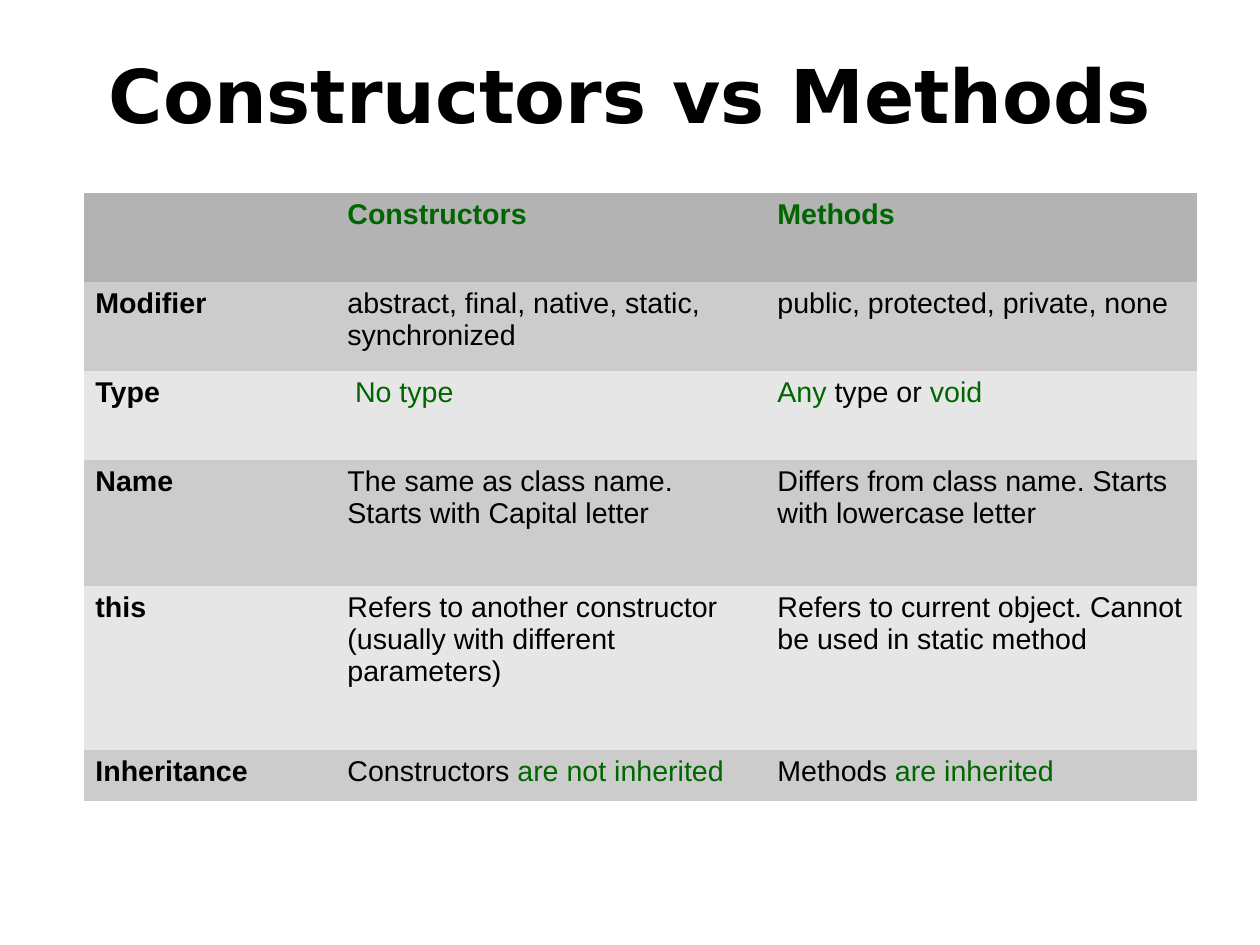
from pptx import Presentation
from pptx import util as u
from pptx.dml.color import RGBColor
from pptx.enum import text

PX = 8000  # EMU in one px; the slide is 1260 by 945 px
COLORS = {
    "black": "000000",
    "green": "006600",
    "header": "B3B3B3",
    "dark row": "CCCCCC",
    "light row": "E6E6E6",
}
NO_STYLE = "{2D5ABB26-0587-4C30-8999-92F81FD0307C}"

# Row height and cell texts; text between bars is green
ROWS = [
    (89, "", "|Constructors|", "|Methods|"),
    (89, "Modifier", "abstract, final, native, static, synchronized",
     "public, protected, private, none"),
    (89, "Type", "|No type|", "|Any| type or |void|"),
    (126, "Name", "The same as class name. Starts with Capital letter",
     "Differs from class name. Starts with lowercase letter"),
    (164, "this", "Refers to another constructor (usually with different parameters)",
     "Refers to current object. Cannot be used in static method"),
    (51, "Inheritance", "Constructors |are not inherited|", "Methods |are inherited|"),
]
COLUMN_WIDTHS = [252, 430, 431]


def style(font, name, size, color, bold):
    font.name = name
    font.size = u.Pt(size)
    font.bold = bold
    font.color.rgb = RGBColor.from_string(COLORS[color])


deck = Presentation()
deck.slide_width, deck.slide_height = 1260 * PX, 945 * PX
page = deck.slides.add_slide(deck.slide_layouts[5])

# Title
title = page.shapes.title
title.left, title.top, title.width, title.height = [n * PX for n in (63, 7, 1134, 173)]
frame = title.text_frame
frame.text = "Constructors vs Methods"
frame.margin_left = frame.margin_right = frame.margin_top = frame.margin_bottom = 0
frame.word_wrap = True
frame.auto_size = text.MSO_AUTO_SIZE.NONE
frame.vertical_anchor = text.MSO_ANCHOR.MIDDLE
para = frame.paragraphs[0]
para.alignment = text.PP_ALIGN.CENTER
style(para.runs[0].font, "DejaVu Sans", 46.7, "black", True)

# Table without built-in borders or bands
table_box = page.shapes.add_table(
    len(ROWS), len(COLUMN_WIDTHS), 84 * PX, 193 * PX,
    sum(COLUMN_WIDTHS) * PX, sum(row[0] for row in ROWS) * PX)
table = table_box.table
table.first_row = table.horz_banding = False
for style_id in table_box.element.iter("{*}tableStyleId"):
    style_id.text = NO_STYLE
for column, width in zip(table.columns, COLUMN_WIDTHS):
    column.width = width * PX

# Cells
for r, (height, *entries) in enumerate(ROWS):
    table.rows[r].height = height * PX
    band = "header" if r == 0 else "dark row" if r % 2 else "light row"
    for c, entry in enumerate(entries):
        cell = table.cell(r, c)
        cell.fill.solid()
        cell.fill.fore_color.rgb = RGBColor.from_string(COLORS[band])
        para = cell.text_frame.paragraphs[0]
        for i, part in enumerate(entry.split("|")):
            if part:
                span = para.add_run()
                span.text = part
                style(span.font, "Arial", 18, "green" if i % 2 else "black",
                      r == 0 or c == 0)

# "No type" sits slightly further in
table.cell(2, 1).margin_left = 19 * PX

deck.save("out.pptx")
